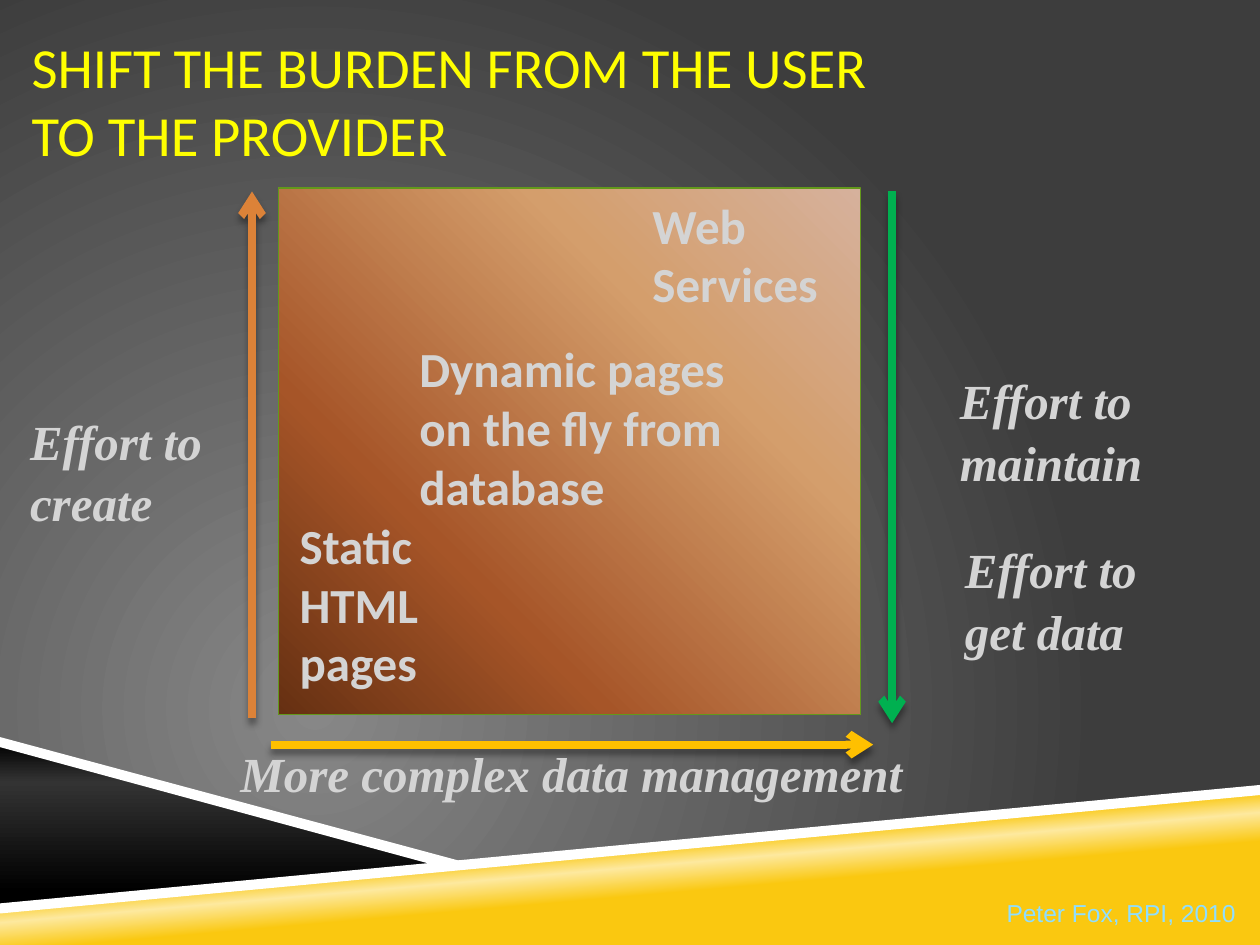
from dataclasses import dataclass

from lxml.etree import SubElement
from pptx import Presentation
from pptx.dml.color import RGBColor
from pptx.enum.shapes import MSO_CONNECTOR, MSO_SHAPE
from pptx.enum.text import MSO_ANCHOR
from pptx.oxml.ns import qn
from pptx.util import Inches, Pt


@dataclass(frozen=True)
class Theme:
    background: tuple = ((0, "878787"), (100, "3D3D3D"))
    band: tuple = ((39, "FAC810"), (50, "FDE99F"), (58, "FAC810"))
    wedge: tuple = ((0, "000000"), (24, "333333"), (90, "000000"))
    panel: tuple = ((0, "D6B19C"), (30, "D49E6C"), (70, "A65528"), (100, "663012"))
    panel_edge: str = "63981B"
    stripe: str = "FFFFFF"
    title: str = "FFFF00"
    text: str = "D4D4D4"
    credit: str = "8FDEFF"
    create: str = "DC8238"
    maintain: str = "00B050"
    complexity: str = "FFC000"
    shadow: str = "000000"
    title_size: float = 32.4
    label_size: float = 28
    credit_size: float = 14
    arrow_width: float = 4.5


def color(value):
    return RGBColor.from_string(value)


def apply_gradient(fill, element, stops, angle=None):
    fill.gradient()
    gradient = element.find(".//" + qn("a:gradFill"))
    for child in list(gradient):
        gradient.remove(child)
    stop_list = SubElement(gradient, qn("a:gsLst"))
    for position, value in stops:
        stop = SubElement(stop_list, qn("a:gs"), pos=str(position * 1000))
        SubElement(stop, qn("a:srgbClr"), val=value)
    if angle is None:
        path = SubElement(gradient, qn("a:path"), path="circle")
        SubElement(path, qn("a:fillToRect"), l="50000", t="100000", r="100000", b="50000")
    else:
        SubElement(gradient, qn("a:lin"), ang=str(angle * 60000), scaled="0")


def write_text(frame, text, *, font, size, fill, bold=False, italic=False, spacing=None):
    para = frame.paragraphs[0]
    para.text = text
    para.line_spacing = spacing
    for span in para.runs:
        span.font.name = font
        span.font.size = Pt(size)
        span.font.color.rgb = color(fill)
        span.font.bold = bold
        span.font.italic = italic


class SlideBuilder:
    def __init__(self, page, theme):
        self.page = page
        self.theme = theme

    def background(self, stops):
        fill = self.page.background.fill
        apply_gradient(fill, self.page.element, stops)

    def paint(self, shape, fill, angle):
        shape.shadow.inherit = False
        if angle is None:
            shape.fill.solid()
            shape.fill.fore_color.rgb = color(fill)
        else:
            apply_gradient(shape.fill, shape.element, fill, angle)

    def polygon(self, points, fill, angle=None):
        corners = [(Inches(x), Inches(y)) for x, y in points]
        builder = self.page.shapes.build_freeform(*corners[0])
        builder.add_line_segments(corners[1:], close=True)
        shape = builder.convert_to_shape()
        self.paint(shape, fill, angle)
        shape.line.fill.background()

    def panel(self, left, top, width, height):
        shape = self.page.shapes.add_shape(
            MSO_SHAPE.RECTANGLE, Inches(left), Inches(top), Inches(width), Inches(height))
        self.paint(shape, self.theme.panel, 135)
        shape.line.color.rgb = color(self.theme.panel_edge)
        shape.line.width = Pt(1)

    def text(self, left, top, width, height, text, wrap=True, **style):
        box = self.page.shapes.add_textbox(
            Inches(left), Inches(top), Inches(width), Inches(height))
        box.text_frame.word_wrap = wrap
        write_text(box.text_frame, text, **style)
        return box

    def title(self, left, top, width, height, text):
        box = self.text(left, top, width, height, text, font="Calibri",
                        size=self.theme.title_size, fill=self.theme.title)
        frame = box.text_frame
        frame.vertical_anchor = MSO_ANCHOR.MIDDLE
        frame.margin_left = frame.margin_right = 0

    def stage(self, left, top, width, height, text):
        self.text(left, top, width, height, text, font="Calibri",
                  size=self.theme.label_size, fill=self.theme.text, bold=True)

    def axis_label(self, left, top, text, width=1.69, height=1.04):
        self.text(left, top, width, height, text, font="Times New Roman",
                  size=self.theme.label_size, fill=self.theme.text,
                  bold=True, italic=True, spacing=1.05)

    def arrow(self, start, end, fill):
        line = self.page.shapes.add_connector(
            MSO_CONNECTOR.STRAIGHT, *(Inches(value) for value in (*start, *end)))
        line.line.color.rgb = color(fill)
        line.line.width = Pt(self.theme.arrow_width)
        properties = line.element.spPr
        SubElement(properties.find(qn("a:ln")), qn("a:tailEnd"), type="arrow")
        effects = SubElement(properties, qn("a:effectLst"))
        shadow = SubElement(effects, qn("a:outerShdw"), blurRad=str(Pt(4)),
                            dist=str(Pt(3.3)), dir="5400000", rotWithShape="0")
        shade = SubElement(shadow, qn("a:srgbClr"), val=self.theme.shadow)
        SubElement(shade, qn("a:alpha"), val="40000")


def main():
    theme = Theme()
    deck = Presentation()
    deck.slide_width, deck.slide_height = Inches(10), Inches(7.5)
    slide = SlideBuilder(deck.slides.add_slide(deck.slide_layouts[6]), theme)

    slide.background(theme.background)
    slide.polygon([(0, 7.21), (10, 6.27), (10, 7.5), (0, 7.5)], theme.band, 265)
    slide.polygon([(0, 5.89), (3.59, 6.85), (0, 7.21)], theme.wedge, 90)
    slide.polygon([(10, 6.23), (0, 7.17), (0, 7.25), (10, 6.31)], theme.stripe)
    slide.polygon([(0, 5.85), (0, 5.93), (3.5, 6.88), (3.75, 6.86)], theme.stripe)

    slide.title(0.25, 0.25, 9.42, 1.08, "SHIFT THE BURDEN FROM THE USER\vTO THE PROVIDER")
    slide.text(7.89, 7.08, 2.03, 0.34, "Peter Fox, RPI, 2010", wrap=False,
               font="Arial", size=theme.credit_size, fill=theme.credit)

    slide.axis_label(0.14, 3.19, "Effort to create")
    slide.axis_label(7.52, 2.87, "Effort to maintain")
    slide.axis_label(7.56, 4.21, "Effort to get data")

    slide.panel(2.21, 1.49, 4.62, 4.18)
    slide.stage(5.08, 1.5, 1.75, 0.96, "Web Services")
    slide.stage(3.23, 2.64, 3.09, 1.4, "Dynamic pages on the fly from database")
    slide.stage(2.28, 4.04, 1.56, 1.4, "Static HTML pages")

    slide.arrow((2, 5.7), (2, 1.52), theme.create)
    slide.arrow((7.08, 1.52), (7.08, 5.74), theme.maintain)
    slide.arrow((2.15, 5.91), (6.93, 5.91), theme.complexity)
    slide.axis_label(1.81, 5.83, "More complex data management", 5.75, 0.57)

    deck.save("out.pptx")


if __name__ == "__main__":
    main()
